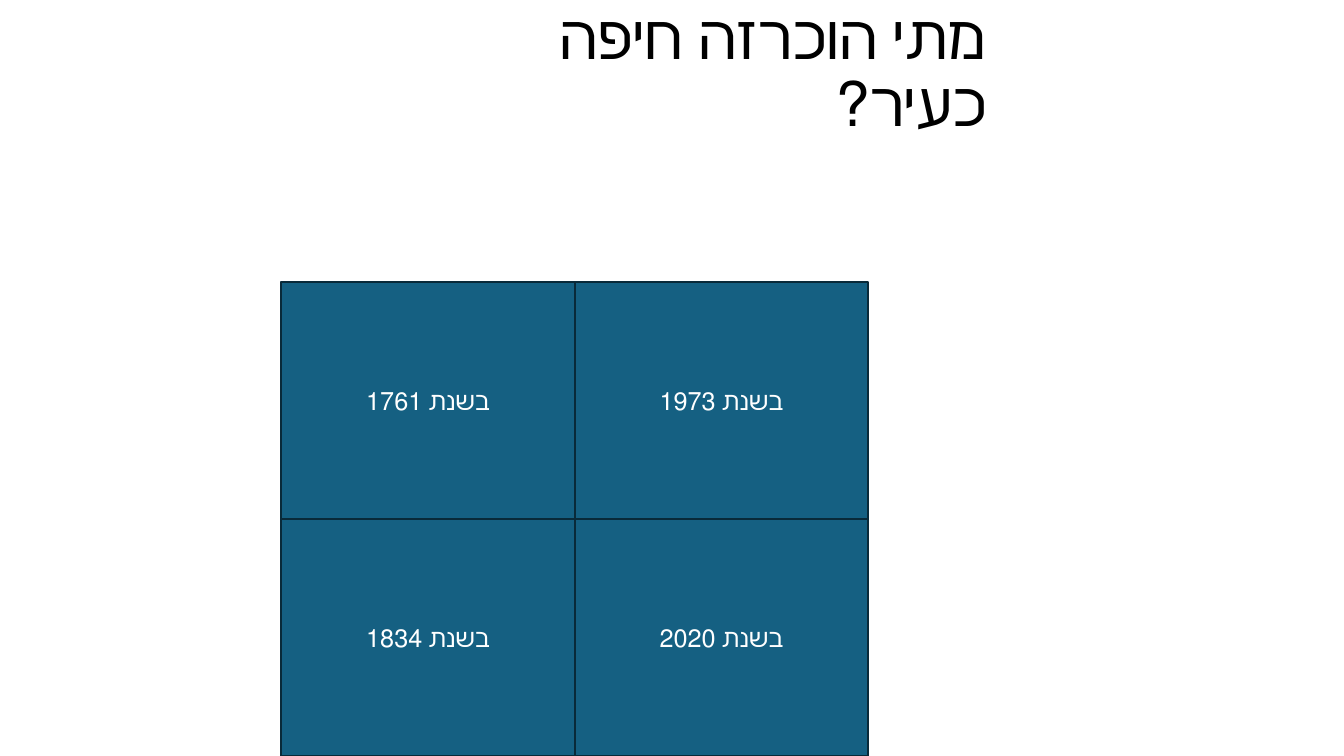
from dataclasses import dataclass

from pptx import Presentation
from pptx.dml.color import RGBColor
from pptx.enum.shapes import MSO_SHAPE
from pptx.enum.text import MSO_ANCHOR, PP_ALIGN
from pptx.shapes.base import BaseShape
from pptx.slide import Slide
from pptx.util import Inches, Pt

BUTTON = MSO_SHAPE.ACTION_BUTTON_CUSTOM
MIDDLE = MSO_ANCHOR.MIDDLE
CENTER, RIGHT = PP_ALIGN.CENTER, PP_ALIGN.RIGHT

COLORS = {"question": "000000", "answer": "FFFFFF", "button": "156082", "border": "092A39"}
FONT = "Lato"
GRID_LEFT, GRID_TOP = 2.79, 2.8
BUTTON_WIDTH, BUTTON_HEIGHT = 2.91, 2.35

QUESTION_FORMAT = {"alignment": RIGHT, "line_spacing": 0.9}
ANSWER_FORMAT = {"alignment": CENTER}


@dataclass(frozen=True)
class Answer:
    text: str
    column: int
    row: int


ANSWERS = [
    Answer("בשנת 1973", 1, 0),
    Answer("בשנת 2020", 1, 1),
    Answer("בשנת 1834", 0, 1),
    Answer("בשנת 1761", 0, 0),
]


def color(name: str) -> RGBColor:
    return RGBColor.from_string(COLORS[name])


def write_hebrew(shape: BaseShape, text: str, size: int, ink: str, paragraph_format: dict) -> None:
    frame = shape.text_frame
    frame.word_wrap = True
    frame.vertical_anchor = MIDDLE
    paragraph = frame.paragraphs[0]
    for attribute, value in paragraph_format.items():
        setattr(paragraph, attribute, value)
    paragraph._p.get_or_add_pPr().set("rtl", "1")
    run = paragraph.add_run()
    run.text = text
    for attribute, value in {"name": FONT, "size": Pt(size)}.items():
        setattr(run.font, attribute, value)
    run.font.color.rgb = color(ink)


def add_question(slide: Slide, text: str) -> None:
    question = slide.shapes.add_textbox(Inches(4.46), Inches(0), Inches(5.42), Inches(1.45))
    write_hebrew(question, text, 44, "question", QUESTION_FORMAT)


def add_answer(slide: Slide, answer: Answer) -> None:
    button = slide.shapes.add_shape(
        BUTTON,
        Inches(GRID_LEFT + answer.column * BUTTON_WIDTH),
        Inches(GRID_TOP + answer.row * BUTTON_HEIGHT),
        Inches(BUTTON_WIDTH),
        Inches(BUTTON_HEIGHT),
    )
    button.shadow.inherit = False
    button.fill.solid()
    button.fill.fore_color.rgb = color("button")
    button.line.color.rgb = color("border")
    button.line.width = Pt(1.5)
    write_hebrew(button, answer.text, 18, "answer", ANSWER_FORMAT)


def main() -> None:
    presentation = Presentation()
    presentation.slide_width = Inches(13.33)
    presentation.slide_height = Inches(7.5)
    slide = presentation.slides.add_slide(presentation.slide_layouts[6])
    add_question(slide, "מתי הוכרזה חיפה כעיר?")
    for answer in ANSWERS:
        add_answer(slide, answer)
    presentation.save("out.pptx")


if __name__ == "__main__":
    main()
